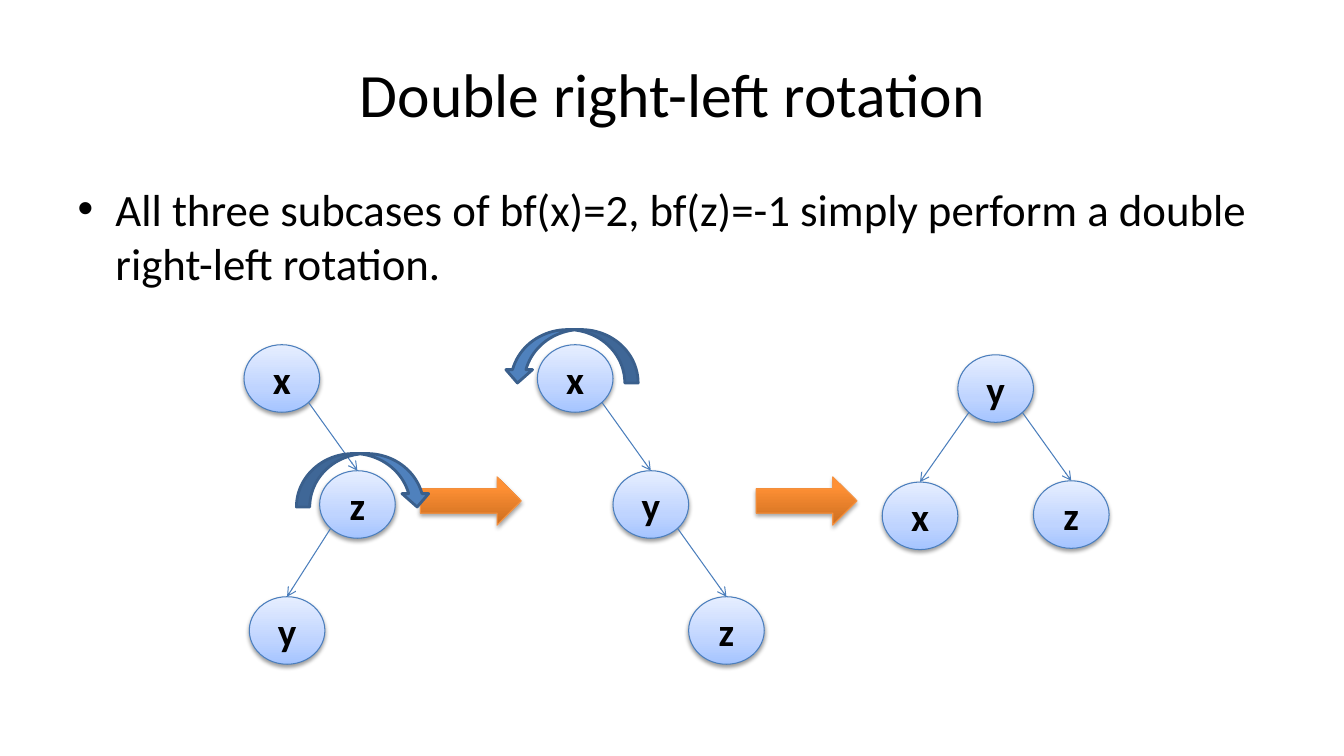
"""Build the slide on the double right-left rotation of a search tree."""
import pptx
import pptx.util
import pptx.dml.color
import pptx.enum.shapes
import pptx.enum.text
import pptx.oxml
import pptx.oxml.ns
import math

Inches, Pt = pptx.util.Inches, pptx.util.Pt
RGB = pptx.dml.color.RGBColor.from_string
SHAPE = pptx.enum.shapes.MSO_SHAPE
ALIGN = pptx.enum.text.PP_ALIGN
ANCHOR = pptx.enum.text.MSO_ANCHOR
qn, nsdecls = pptx.oxml.ns.qn, pptx.oxml.ns.nsdecls
parse_xml = pptx.oxml.parse_xml

COLORS = {"text": "000000", "edge": "4B7EBC", "step": "F69240",
          "turn": "4F81BD", "turn_line": "3A5F8C", "shadow": "000000"}
NODE_STOPS = [(0, "A4C4FF"), (35, "BFD4FF"), (100, "E6EEFF")]
STEP_STOPS = [(0, "CC6E20"), (80, "FF9034"), (100, "FF9136")]
COL, ROW = 0.75, 1.25
NODE_W, NODE_H = 0.75, 0.67


def style(sp, stops, line, alpha, dist):
    """Give a shape an upward gradient, a thin line and a soft shadow."""
    sp.fill.gradient()
    sp.fill.gradient_angle = 90
    sp.line.color.rgb = RGB(COLORS[line])
    sp.line.width = Pt(0.75)
    sp.shadow.inherit = False
    spPr = sp._element.spPr
    gs = "".join(f'<a:gs pos="{pos * 1000}"><a:srgbClr val="{color}"/></a:gs>'
                 for pos, color in stops)
    old = spPr.find(".//" + qn("a:gsLst"))
    old.getparent().replace(
        old, parse_xml(f'<a:gsLst {nsdecls("a")}>{gs}</a:gsLst>'))
    spPr.find(qn("a:effectLst")).append(parse_xml(
        f'<a:outerShdw {nsdecls("a")} blurRad="{Pt(3.1)}" dist="{Pt(dist)}" '
        f'dir="5400000" rotWithShape="0"><a:srgbClr val="{COLORS["shadow"]}">'
        f'<a:alpha val="{alpha * 1000}"/></a:srgbClr></a:outerShdw>'))


def write(tf, text, align, **font):
    """Fill a text frame with one paragraph in the given font."""
    tf.text = text
    p = tf.paragraphs[0]
    p.alignment = align
    f = p.runs[0].font
    f.color.rgb = RGB(COLORS["text"])
    for name, value in {"name": "Calibri", **font}.items():
        setattr(f, name, value)


prs = pptx.Presentation()
prs.slide_width, prs.slide_height = Inches(13.33), Inches(7.5)
s = prs.slides.add_slide(prs.slide_layouts[1])

holders = [
    (0, "Double right-left rotation", 0.3, 1.25, 44, ALIGN.CENTER),
    (1, "All three subcases of bf(x)=2, bf(z)=-1 simply perform a double "
        "right-left rotation.", 1.75, 4.95, 32, ALIGN.LEFT),
]
for idx, text, top, height, size, align in holders:
    sp = s.placeholders[idx]
    box = {"left": 0.67, "top": top, "width": 12, "height": height}
    for name, value in box.items():
        setattr(sp, name, Inches(value))
    write(sp.text_frame, text, align, size=Pt(size))
s.placeholders[1].text_frame.paragraphs[0].space_before = Pt(0)

for left in (4.17, 7.5):
    sp = s.shapes.add_shape(SHAPE.RIGHT_ARROW, Inches(left), Inches(4.73),
                            Inches(1), Inches(0.48))
    style(sp, STEP_STOPS, "step", 35, 1.8)

trees = [
    (2.42, 3.42, {"x": (0, 0), "z": (1, 1), "y": (0.07, 2)}, ["xz", "zy"]),
    (5.33, 3.42, {"x": (0, 0), "y": (1, 1), "z": (2, 2)}, ["xy", "yz"]),
    (9.5, 3.52, {"y": (0, 0), "z": (1, 1), "x": (-1, 1.01)}, ["yz", "yx"]),
]
for left, top, cells, edges in trees:
    nodes = {}
    for key, (col, row) in cells.items():
        sp = s.shapes.add_shape(
            SHAPE.OVAL, Inches(left + col * COL), Inches(top + row * ROW),
            Inches(NODE_W), Inches(NODE_H))
        style(sp, NODE_STOPS, "edge", 38, 1.6)
        sp.text_frame.vertical_anchor = ANCHOR.MIDDLE
        write(sp.text_frame, key, ALIGN.CENTER, size=Pt(28), bold=True)
        nodes[key] = sp
    for parent, child in edges:
        a, b = nodes[parent], nodes[child]
        side = 1 if b.left > a.left else -1
        reach = math.sqrt(0.5)
        x = a.left + a.width * (1 + side * reach) / 2
        y = a.top + a.height * (1 + reach) / 2
        cx = s.shapes.add_connector(
            pptx.enum.shapes.MSO_CONNECTOR.STRAIGHT, int(x), int(y),
            b.left + b.width // 2, b.top)
        cx.end_connect(b, 0)
        cx.line.color.rgb = RGB(COLORS["edge"])
        cx.line.width = Pt(0.75)
        spPr = cx._element.spPr
        spPr.find(qn("a:ln")).append(
            parse_xml(f'<a:tailEnd {nsdecls("a")} type="arrow"/>'))
        spPr.append(parse_xml(f'<a:effectLst {nsdecls("a")}/>'))

for left, top, flip in [(2.94, 4.5, False), (5, 3.27, True)]:
    sp = s.shapes.add_shape(SHAPE.CURVED_DOWN_ARROW, Inches(left), Inches(top),
                            Inches(1.33), Inches(0.53))
    sp.fill.solid()
    sp.fill.fore_color.rgb = RGB(COLORS["turn"])
    sp.line.color.rgb = RGB(COLORS["turn_line"])
    sp.line.width = Pt(2)
    sp.shadow.inherit = False
    if flip:
        sp._element.spPr.find(qn("a:xfrm")).set("flipH", "1")

prs.save("out.pptx")
